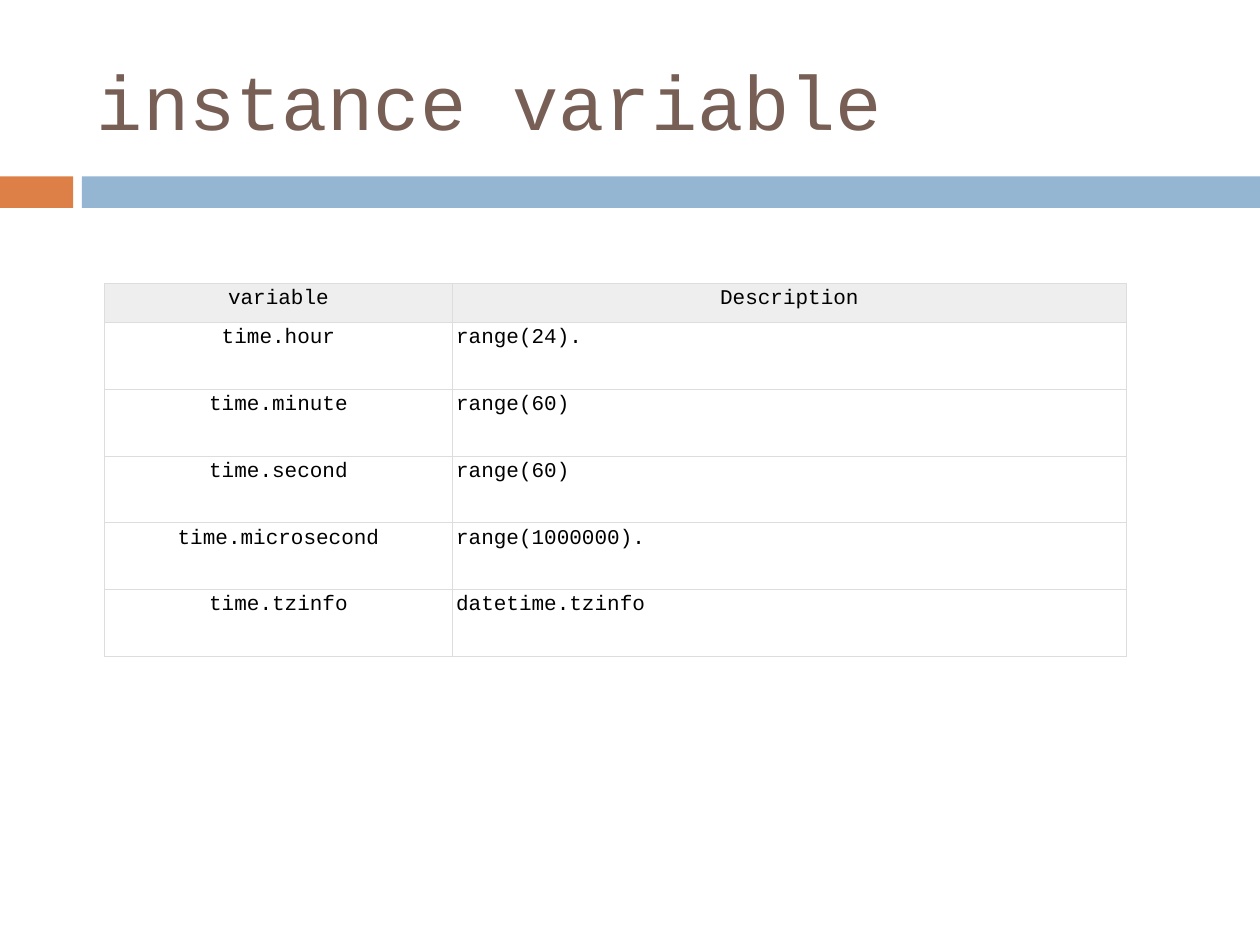
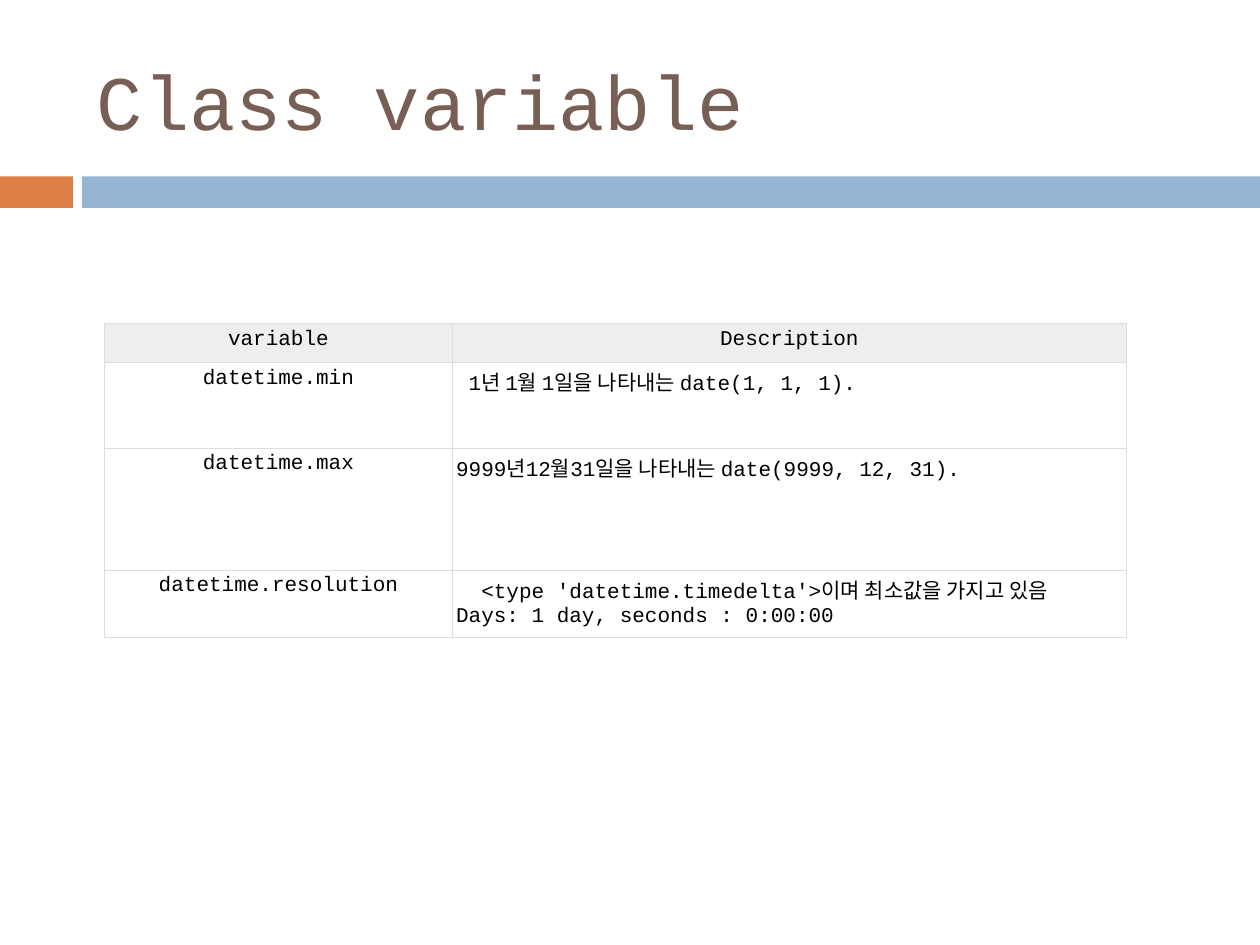
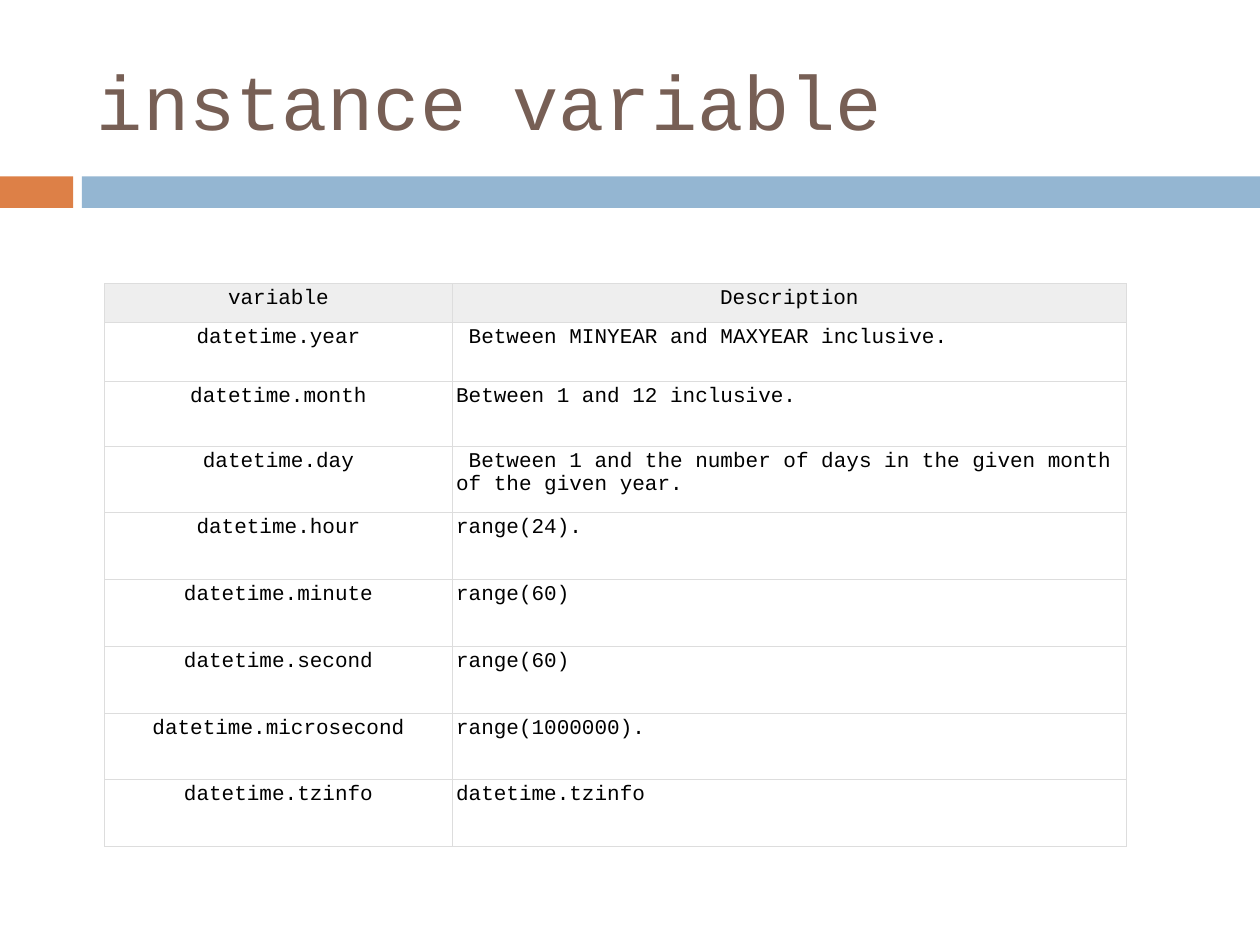
import pptx
import pptx.dml.color
import pptx.enum.shapes
import pptx.enum.text
import pptx.oxml
import pptx.oxml.ns
import pptx.util
from pptx.util import Inches

FONT = "Courier New"
TITLE_COLOR = "775F55"
TEXT_COLOR = "000000"
ACCENT_COLOR = "DD8047"
BAND_COLOR = "94B6D2"
HEADER_COLOR = "EEEEEE"
BORDER_COLOR = "DDDDDD"

BORDER_WIDTH = pptx.util.Pt(0.6)
CELL_MARGIN = Inches(0.03)
COLUMN_WIDTHS = (2.76, 5.35)
TABLE_LEFT = 0.83
HEADER_HEIGHT = 0.31
ROW_HEIGHT = 0.53
HEADINGS = ("variable", "Description")
CENTER = pptx.enum.text.PP_ALIGN.CENTER
LEFT = pptx.enum.text.PP_ALIGN.LEFT


def rgb(color):
    return pptx.dml.color.RGBColor.from_string(color)


def add_run(paragraph, text, size, color):
    run = paragraph.add_run()
    run.text = text
    run.font.name = FONT
    run.font.size = pptx.util.Pt(size)
    run.font.bold = False
    run.font.color.rgb = rgb(color)


def add_band(slide, left, width, color):
    band = slide.shapes.add_shape(
        pptx.enum.shapes.MSO_SHAPE.RECTANGLE,
        Inches(left), Inches(1.4), Inches(width), Inches(0.25))
    band.shadow.inherit = False
    band.fill.solid()
    band.fill.fore_color.rgb = rgb(color)
    band.line.fill.background()


def add_title(slide, text):
    title = slide.shapes.add_textbox(
        Inches(0.67), Inches(0.25), Inches(8.92), Inches(1.08))
    frame = title.text_frame
    frame.word_wrap = True
    frame.vertical_anchor = pptx.enum.text.MSO_ANCHOR.MIDDLE
    add_run(frame.paragraphs[0], text, 44, TITLE_COLOR)


def add_borders(cell):
    properties = cell._tc.get_or_add_tcPr()
    for side in ("lnL", "lnR", "lnT", "lnB"):
        properties.append(pptx.oxml.parse_xml(
            f'<a:{side} {pptx.oxml.ns.nsdecls("a")} w="{BORDER_WIDTH}">'
            f'<a:solidFill><a:srgbClr val="{BORDER_COLOR}"/></a:solidFill>'
            f'</a:{side}>'))


def fill_cell(cell, lines, alignment, color=None, indent=0):
    cell.margin_left = cell.margin_right = CELL_MARGIN
    cell.margin_top = cell.margin_bottom = CELL_MARGIN
    add_borders(cell)
    if color:
        cell.fill.solid()
        cell.fill.fore_color.rgb = rgb(color)
    else:
        cell.fill.background()
    for index, line in enumerate(lines.split("\n")):
        frame = cell.text_frame
        paragraph = frame.add_paragraph() if index else frame.paragraphs[0]
        paragraph.alignment = alignment
        if indent and not index:
            paragraph._p.get_or_add_pPr().set("indent", str(Inches(indent)))
        add_run(paragraph, line, 12, TEXT_COLOR)


def add_variable_table(slide, top, variables):
    heights = [HEADER_HEIGHT] + [height for _, _, height, _ in variables]
    table = slide.shapes.add_table(
        len(heights), len(COLUMN_WIDTHS), Inches(TABLE_LEFT), Inches(top),
        Inches(sum(COLUMN_WIDTHS)), Inches(sum(heights))).table
    table.horz_banding = False
    for column, width in zip(table.columns, COLUMN_WIDTHS):
        column.width = Inches(width)
    for row, height in zip(table.rows, heights):
        row.height = Inches(height)
    for index, heading in enumerate(HEADINGS):
        fill_cell(table.cell(0, index), heading, CENTER, HEADER_COLOR)
    for index, (name, description, _, indent) in enumerate(variables, 1):
        fill_cell(table.cell(index, 0), name, CENTER)
        fill_cell(table.cell(index, 1), description, LEFT, indent=indent)


def variable(name, description, height=ROW_HEIGHT, indent=0):
    return name, description, height, indent


def time_variables(owner):
    return [
        variable(f"{owner}.hour", "range(24)."),
        variable(f"{owner}.minute", "range(60)"),
        variable(f"{owner}.second", "range(60)"),
        variable(f"{owner}.microsecond", "range(1000000)."),
        variable(f"{owner}.tzinfo", "datetime.tzinfo"),
    ]


def add_variable_slide(deck, title, top, variables):
    slide = deck.slides.add_slide(deck.slide_layouts[6])
    add_band(slide, 0, 0.58, ACCENT_COLOR)
    add_band(slide, 0.65, 9.35, BAND_COLOR)
    add_title(slide, title)
    add_variable_table(slide, top, variables)


def main():
    deck = pptx.Presentation()
    deck.slide_width = Inches(10)
    deck.slide_height = Inches(7.5)

    add_variable_slide(deck, "instance variable", 2.25, time_variables("time"))
    add_variable_slide(deck, "Class variable", 2.57, [
        variable("datetime.min", "1년 1월 1일을 나타내는 date(1, 1, 1).", 0.68, 0.1),
        variable("datetime.max",
                 "9999년12월31일을 나타내는 date(9999, 12, 31).", 0.97),
        variable("datetime.resolution",
                 "<type 'datetime.timedelta'>이며 최소값을 가지고 있음\n"
                 "Days: 1 day, seconds : 0:00:00", indent=0.2),
    ])
    add_variable_slide(deck, "instance variable", 2.25, [
        variable("datetime.year",
                 "Between MINYEAR and MAXYEAR inclusive.", 0.47, 0.1),
        variable("datetime.month", "Between 1 and 12 inclusive.", 0.51),
        variable("datetime.day",
                 "Between 1 and the number of days in the given month "
                 "of the given year.", indent=0.1),
        *time_variables("datetime"),
    ])
    deck.save("out.pptx")


if __name__ == "__main__":
    main()
